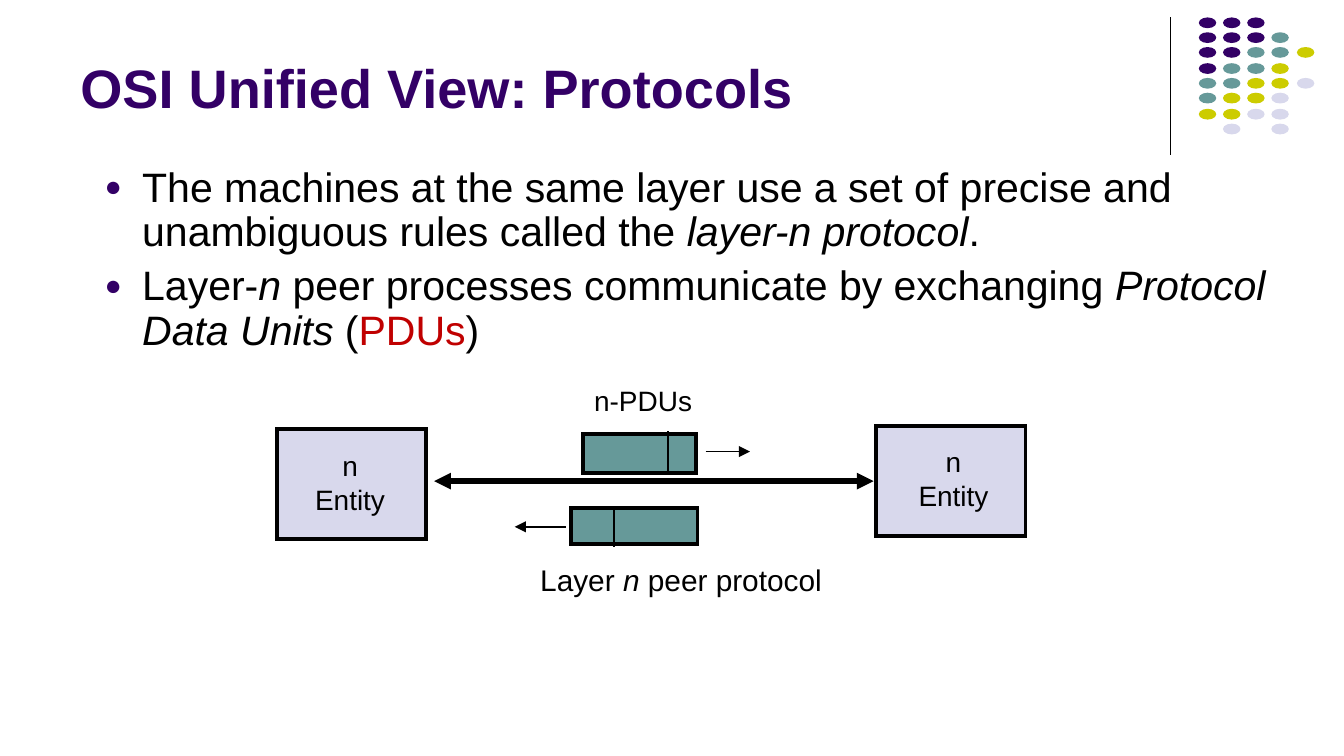
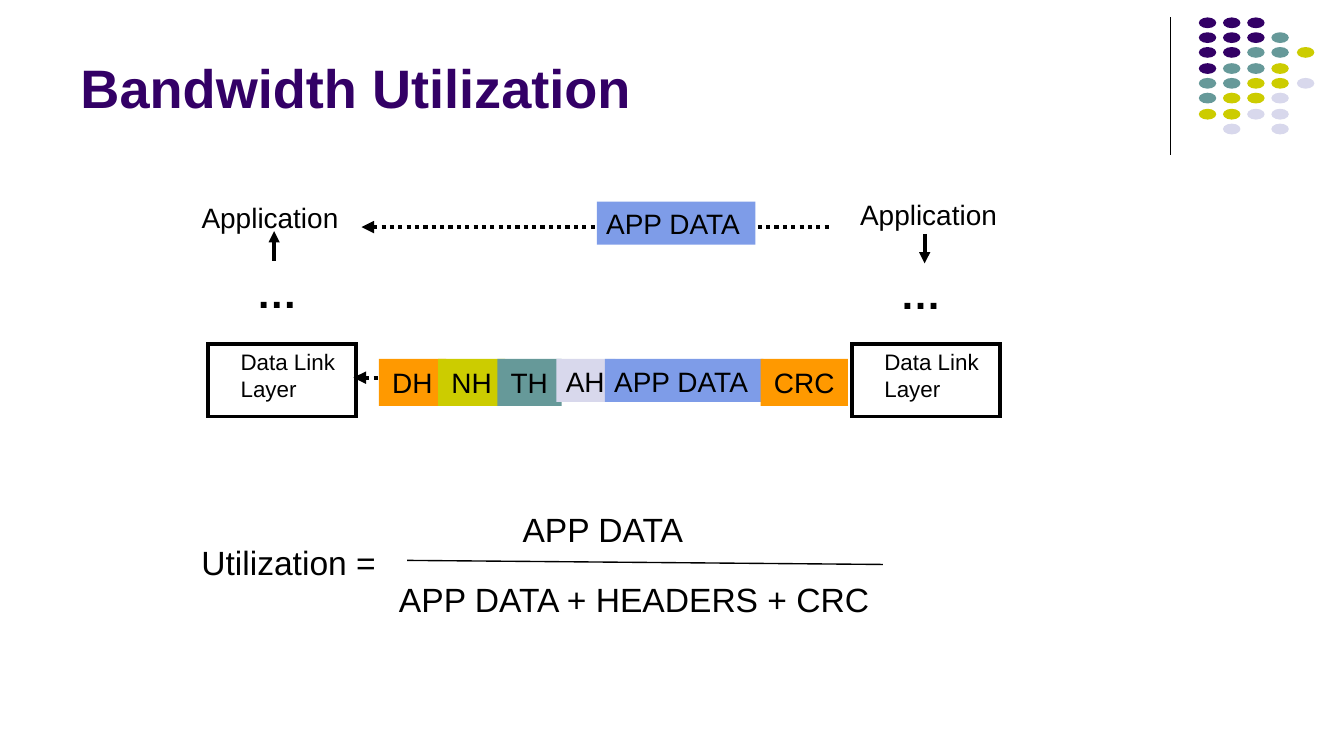
from lxml.etree import SubElement
from pptx import Presentation
from pptx.dml.color import RGBColor
from pptx.enum.dml import MSO_LINE
from pptx.enum.shapes import MSO_CONNECTOR, MSO_SHAPE
from pptx.enum.text import MSO_ANCHOR, MSO_AUTO_SIZE, PP_ALIGN
from pptx.oxml.ns import qn
from pptx.util import Pt

PX = 9144  # 100 px to the inch
FONT = "Arial"
BLACK = RGBColor(0x00, 0x00, 0x00)
PURPLE = RGBColor(0x33, 0x00, 0x66)
TEAL = RGBColor(0x66, 0x99, 0x99)
OLIVE = RGBColor(0xCC, 0xCC, 0x00)
LILAC = RGBColor(0xD8, 0xD8, 0xEC)
BLUE = RGBColor(0x7E, 0x9C, 0xE8)
ORANGE = RGBColor(0xFF, 0x99, 0x00)
RED = RGBColor(0xC0, 0x00, 0x00)

DOTS = ["PPP  ", "PPPT ", "PPTTY", "PTTY ", "TTYYL", "TYYL ", "YYLL ", " L L "]
DOT_INKS = {"P": PURPLE, "T": TEAL, "Y": OLIVE, "L": LILAC}
WIDE = (10, 5)
TIGHT = (7, 4)

RULES = [
    [("The machines at the same layer use a set of precise and "
      "unambiguous rules called the ", ""),
     ("layer-n protocol", "i"), (".", "")],
    [("Layer-", ""), ("n", "i"),
     (" peer processes communicate by exchanging ", ""),
     ("Protocol Data Units ", "i"), ("(", ""), ("PDUs", "r"), (")", "")],
]


class Pane:
    """A region of a slide; its parts are placed from its top left corner."""

    def __init__(self, slide, left, top):
        self.slide, self.left, self.top = slide, left, top

    def place(self, left, top, *size):
        return [n * PX for n in (self.left + left, self.top + top, *size)]

    def shape(self, box, fill=None, width=0, kind=MSO_SHAPE.RECTANGLE):
        shape = self.slide.shapes.add_shape(kind, *self.place(*box))
        shape.shadow.inherit = False
        if fill is None:
            shape.fill.background()
        else:
            shape.fill.solid()
            shape.fill.fore_color.rgb = fill
        if width:
            shape.line.color.rgb = BLACK
            shape.line.width = Pt(width)
            edge = shape.element.spPr.find(qn("a:ln"))
            SubElement(edge, qn("a:miter"), lim="800000")
        else:
            shape.line.fill.background()
        return shape

    def line(self, start, end, width, arrows=(), dash=None):
        line = self.slide.shapes.add_connector(
            MSO_CONNECTOR.STRAIGHT, *self.place(*start), *self.place(*end))
        line.line.color.rgb = BLACK
        line.line.width = Pt(width)
        if dash:
            line.line.dash_style = dash
        props = line.element.spPr
        for arrow in arrows:
            SubElement(props.find(qn("a:ln")), qn("a:" + arrow), type="triangle")
        SubElement(props, qn("a:effectLst"))

    def text(self, box, paras, size, fill=None, pad=TIGHT, wrap=False, bold=None,
             ink=BLACK, align=PP_ALIGN.LEFT, anchor=MSO_ANCHOR.TOP, bullets=False):
        """Each paragraph is a string or a list of (text, style) runs."""
        if fill is None:
            shape = self.slide.shapes.add_textbox(*self.place(*box))
        else:
            shape = self.shape(box, fill)
        frame = shape.text_frame
        frame.word_wrap = wrap
        frame.auto_size = MSO_AUTO_SIZE.NONE if wrap else MSO_AUTO_SIZE.SHAPE_TO_FIT_TEXT
        frame.vertical_anchor = anchor
        frame.margin_left = frame.margin_right = pad[0] * PX
        frame.margin_top = frame.margin_bottom = pad[1] * PX
        for i, runs in enumerate(paras):
            para = frame.add_paragraph() if i else frame.paragraphs[0]
            para.alignment = align
            if bullets:
                add_bullet(para)
                para.line_spacing = 0.9
                if i:
                    para.space_before = Pt(5.5)
            font = para.font
            font.name, font.size, font.bold = FONT, Pt(size), bold
            font.color.rgb = ink
            for words, style in [(runs, "")] if isinstance(runs, str) else runs:
                run = para.add_run()
                run.text = words
                if style == "i":
                    run.font.italic = True
                elif style == "r":
                    run.font.color.rgb = RED


def add_bullet(para):
    props = para._p.get_or_add_pPr()
    props.set("marL", str(28 * PX))
    props.set("indent", str(-28 * PX))
    SubElement(SubElement(props, qn("a:buClr")), qn("a:srgbClr"), val=str(PURPLE))
    SubElement(props, qn("a:buSzPct"), val="70000")
    SubElement(props, qn("a:buFont"), typeface=FONT)
    SubElement(props, qn("a:buChar"), char="●")


def draw_dots(pane):
    pane.line((0, 0), (0, 102), 0.75)
    for row, marks in enumerate(DOTS):
        for col, mark in enumerate(marks):
            if mark in DOT_INKS:
                box = (21 + 73 * col // 4, 34 * row // 3, 13, 8)
                pane.shape(box, DOT_INKS[mark], kind=MSO_SHAPE.OVAL)


def start_slide(deck, title):
    slide = deck.slides.add_slide(deck.slide_layouts[6])
    draw_dots(Pane(slide, 871, 13))
    Pane(slide, 50, 10).text((0, 0, 825, 84), [title], 29, pad=WIDE, wrap=True,
                             bold=True, ink=PURPLE, anchor=MSO_ANCHOR.BOTTOM)
    return slide


def draw_peers(pane):
    """Two entities that exchange PDUs along one double arrow."""
    for x, y, dx, dy in [(0, 38, 21, 11), (446, 36, 24, 10)]:
        pane.shape((x, y, 111, 82), LILAC, 2)
        pane.text((x + dx, y + dy, 67, 57), ["n", "Entity"], 15,
                  align=PP_ALIGN.CENTER)
    pane.line((117, 77), (444, 77), 3, ["headEnd", "tailEnd"])
    packets = [((228, 42, 84, 29), 291, 40, 319, 352, 55),
               ((219, 97, 94, 27), 251, 96, 215, 177, 111)]
    for box, split, top, start, end, y in packets:
        pane.shape(box, TEAL, 2)
        pane.line((split, top), (split, top + 30), 1)
        pane.line((start, y), (end, y), 1, ["tailEnd"])
    pane.text((229, 0, 88, 32), ["n-PDUs"], 15)
    pane.text((189, 133, 224, 34),
              [[("Layer ", ""), ("n ", "i"), ("peer protocol", "")]], 16)


def draw_stack(pane, label, start, end, gap):
    """Application above a data link box, with an arrow for the flow."""
    pane.text(label, ["Application"], 15)
    pane.line(start, end, 2, ["tailEnd"])
    pane.text((26, gap, 43, 47), ["…"], 22, pad=WIDE, wrap=True, bold=True)
    pane.shape((0, 112, 110, 54), width=2)
    pane.text((17, 111, 85, 47), ["Data Link", "Layer"], 12)


def draw_frame(pane):
    """The application data, and below it the same data inside a frame."""
    for start, end, y in [(6, 356, 25), (0, 369, 137)]:
        pane.line((start, y), (end, y), 2.25, ["headEnd"], MSO_LINE.ROUND_DOT)
    pane.text((181, 6, 118, 32), ["APP DATA"], 15, BLUE)
    fields = [("DH", 19, 50, ORANGE, WIDE), ("NH", 63, 50, OLIVE, WIDE),
              ("TH", 107, 48, TEAL, WIDE), ("AH", 151, 44, LILAC, TIGHT),
              ("APP DATA", 187, 118, BLUE, TIGHT), ("CRC", 303, 65, ORANGE, WIDE)]
    for name, x, width, fill, pad in fields:
        height = 35 if pad == WIDE else 32
        pane.text((x, 123, width, height), [name], 15, fill, pad)


def draw_ratio(pane):
    terms = [("Utilization =", 0, 24, 157), ("APP DATA", 239, 0, 143),
             ("APP DATA + HEADERS + CRC", 147, 52, 375)]
    for words, x, y, width in terms:
        pane.text((x, y, width, 40), [words], 18, pad=WIDE)
    pane.line((163, 43), (517, 46), 0.75)


def main():
    deck = Presentation()
    deck.slide_width = 1000 * PX
    deck.slide_height = deck.slide_width * 9 // 16

    slide = start_slide(deck, "OSI Unified View: Protocols")
    Pane(slide, 68, 119).text((0, 0, 909, 269), RULES, 22, pad=WIDE, wrap=True,
                              bullets=True)
    draw_peers(Pane(slide, 206, 281))

    slide = start_slide(deck, "Bandwidth Utilization")
    draw_frame(Pane(slide, 263, 144))
    draw_stack(Pane(slide, 155, 144), (-12, 1, 123, 32), (49, 50), (49, 28), 50)
    draw_stack(Pane(slide, 634, 144), (-1, -1, 117, 32), (54, 30), (54, 52), 51)
    draw_ratio(Pane(slide, 140, 374))

    deck.save("out.pptx")


if __name__ == "__main__":
    main()
